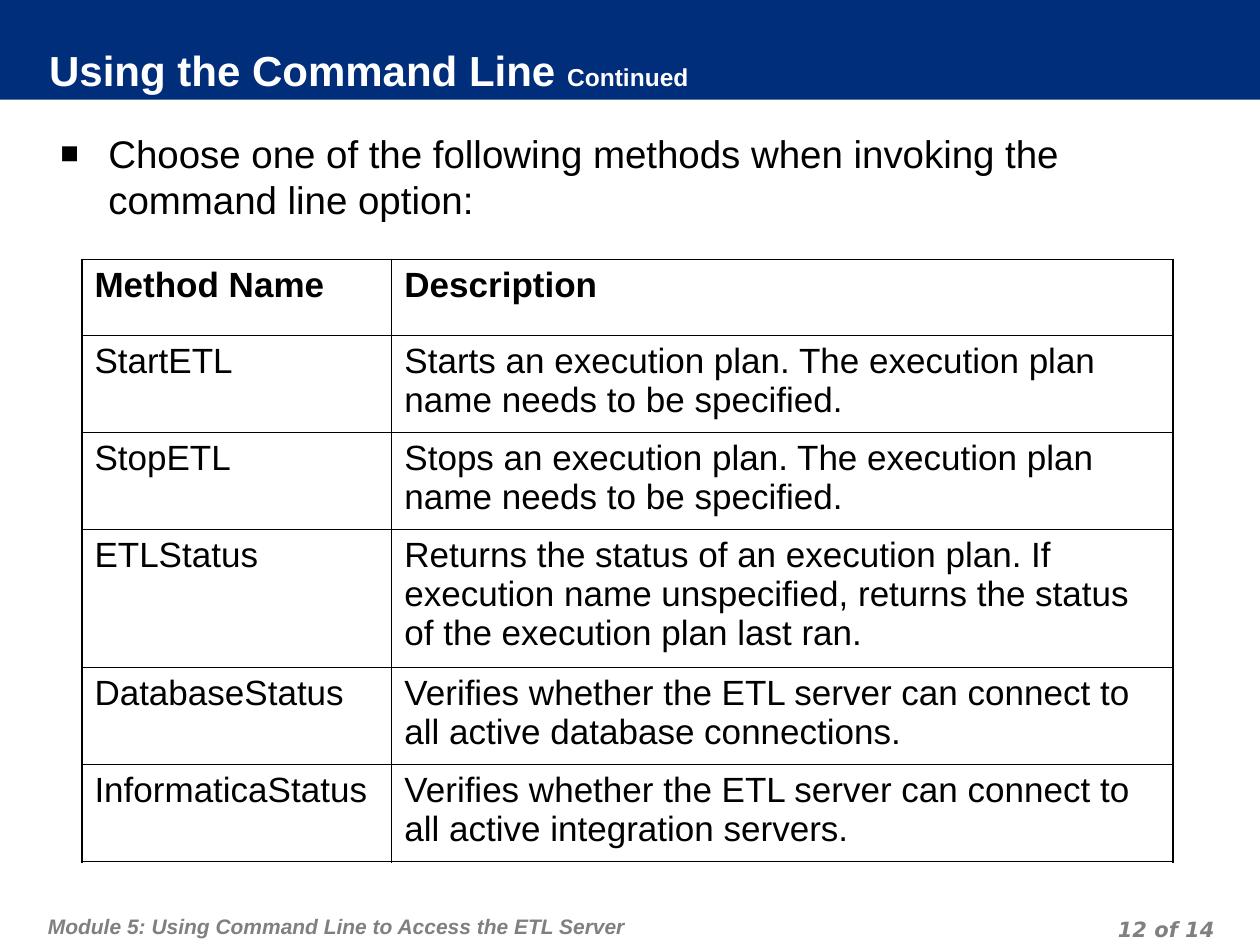
from lxml.etree import SubElement
from pptx import Presentation
from pptx.dml.color import RGBColor
from pptx.enum.shapes import MSO_SHAPE
from pptx.enum.text import MSO_ANCHOR, MSO_AUTO_SIZE, PP_ALIGN
from pptx.oxml.ns import qn
from pptx.util import Inches, Pt

NAVY = RGBColor(0x00, 0x2E, 0x7A)
WHITE = RGBColor(0xFF, 0xFF, 0xFF)
BLACK = RGBColor(0x00, 0x00, 0x00)
GRAY = RGBColor(0x80, 0x80, 0x80)
THICK, THIN = Pt(1.08), Pt(0.45)

METHODS = [
    ("Method Name", "Description"),
    ("StartETL", "Starts an execution plan. The execution plan name needs to be specified."),
    ("StopETL", "Stops an execution plan. The execution plan name needs to be specified."),
    ("ETLStatus", "Returns the status of an execution plan. If execution name "
                  "unspecified, returns the status of the execution plan last ran."),
    ("DatabaseStatus", "Verifies whether the ETL server can connect to all active "
                       "database connections."),
    ("InformaticaStatus", "Verifies whether the ETL server can connect to all active "
                          "integration servers."),
]
COL_WIDTHS = [2.46, 6.2]
ROW_HEIGHTS = [0.6, 0.77, 0.77, 1.1, 0.77, 0.77]


def place(s, box):
    """Move a shape to a box of left, top, width and height in inches."""
    s.left, s.top, s.width, s.height = map(Inches, box)


def set_frame(tf, insets, anchor=MSO_ANCHOR.TOP):
    """Set the insets, anchor and wrapping of a text frame."""
    tf.auto_size = MSO_AUTO_SIZE.NONE
    tf.word_wrap = True
    tf.vertical_anchor = anchor
    tf.margin_left, tf.margin_top, tf.margin_right, tf.margin_bottom = map(Inches, insets)


def style(font, size, color, bold=False, italic=False, name="Arial"):
    """Format a font."""
    font.name, font.size, font.bold, font.italic = name, Pt(size), bold, italic
    font.color.rgb = color


def add_band(slide, box):
    """Put the header band behind everything else."""
    band = slide.shapes.add_shape(MSO_SHAPE.RECTANGLE, *map(Inches, box))
    band.shadow.inherit = False
    band.fill.solid()
    band.fill.fore_color.rgb = NAVY
    band.line.fill.background()
    slide.shapes._spTree.insert(2, band._element)


def fill_title(slide, box):
    """Write the title with its smaller continuation mark."""
    title = slide.shapes.title
    place(title, box)
    title.fill.solid()
    title.fill.fore_color.rgb = NAVY
    set_frame(title.text_frame, (0, 0, 0.05, 0.05), MSO_ANCHOR.MIDDLE)
    p = title.text_frame.paragraphs[0]
    p.alignment = PP_ALIGN.LEFT
    for text, size in (("Using the Command Line ", 24), ("Continued", 14)):
        r = p.add_run()
        r.text = text
        style(r.font, size, WHITE, bold=True)


def fill_body(slide, box):
    """Write the square-bulleted introduction."""
    body = slide.placeholders[1]
    place(body, box)
    tf = body.text_frame
    set_frame(tf, (0.1, 0.1, 0.1, 0.05))
    tf.text = "Choose one of the following methods when invoking the command line option:"
    p = tf.paragraphs[0]
    p.space_before = Pt(0)
    pPr = p._p.get_or_add_pPr()
    pPr.set("marL", str(Inches(0.38)))
    pPr.set("indent", str(-Inches(0.38)))
    SubElement(SubElement(pPr, qn("a:buClr")), qn("a:srgbClr")).set("val", str(BLACK))
    SubElement(pPr, qn("a:buSzPct")).set("val", "80000")
    SubElement(pPr, qn("a:buFont")).set("typeface", "Arial")
    SubElement(pPr, qn("a:buChar")).set("char", "■")
    style(p.runs[0].font, 22, BLACK)


def set_borders(cell, widths):
    """Draw the left, right, top and bottom borders of a cell."""
    tcPr = cell._tc.get_or_add_tcPr()
    for i, (tag, width) in enumerate(zip(("a:lnL", "a:lnR", "a:lnT", "a:lnB"), widths)):
        ln = SubElement(tcPr, qn(tag))
        ln.set("w", str(width))
        fill = SubElement(ln, qn("a:solidFill"))
        SubElement(fill, qn("a:srgbClr")).set("val", str(BLACK))
        tcPr.insert(i, ln)


def add_methods(slide, box):
    """Add the table of methods, with a heavier outer frame."""
    last_row, last_col = len(METHODS) - 1, len(COL_WIDTHS) - 1
    table = slide.shapes.add_table(len(METHODS), len(COL_WIDTHS), *map(Inches, box)).table
    table.first_row = table.horz_banding = False
    for col, width in zip(table.columns, COL_WIDTHS):
        col.width = Inches(width)
    for i, (row, height, texts) in enumerate(zip(table.rows, ROW_HEIGHTS, METHODS)):
        row.height = Inches(height)
        for j, (cell, text) in enumerate(zip(row.cells, texts)):
            cell.fill.background()
            cell.text = text
            style(cell.text_frame.paragraphs[0].runs[0].font, 20, BLACK, bold=i == 0)
            edges = (j == 0, j == last_col, i == 0, i == last_row)
            set_borders(cell, [THICK if edge else THIN for edge in edges])


def add_footer(slide, box, text, top_inset, align, font_name):
    """Add one gray footer text."""
    tf = slide.shapes.add_textbox(*map(Inches, box)).text_frame
    set_frame(tf, (0.05, top_inset, 0.05, 0))
    tf.text = text
    p = tf.paragraphs[0]
    p.alignment = align
    p.line_spacing = Pt(18)
    style(p.runs[0].font, 12, GRAY, bold=True, italic=True, name=font_name)


def main():
    """Build the slide and save it."""
    prs = Presentation()
    prs.slide_width, prs.slide_height = Inches(10), Inches(7.5)
    slide = prs.slides.add_slide(prs.slide_layouts[1])
    add_band(slide, (0, 0, 10, 0.79))
    fill_title(slide, (0.39, 0.38, 7.87, 0.4))
    fill_body(slide, (0.38, 0.93, 9.3, 6.18))
    add_methods(slide, (0.65, 2.06, sum(COL_WIDTHS), sum(ROW_HEIGHTS)))
    add_footer(slide, (0.33, 7.1, 6.18, 0.4),
               "Module 5: Using Command Line to Access the ETL Server",
               0.1, PP_ALIGN.LEFT, "Arial")
    add_footer(slide, (7.36, 7.22, 2.33, 0.25), "12 of 14", 0, PP_ALIGN.RIGHT, "DejaVu Sans")
    prs.save("out.pptx")


if __name__ == "__main__":
    main()
